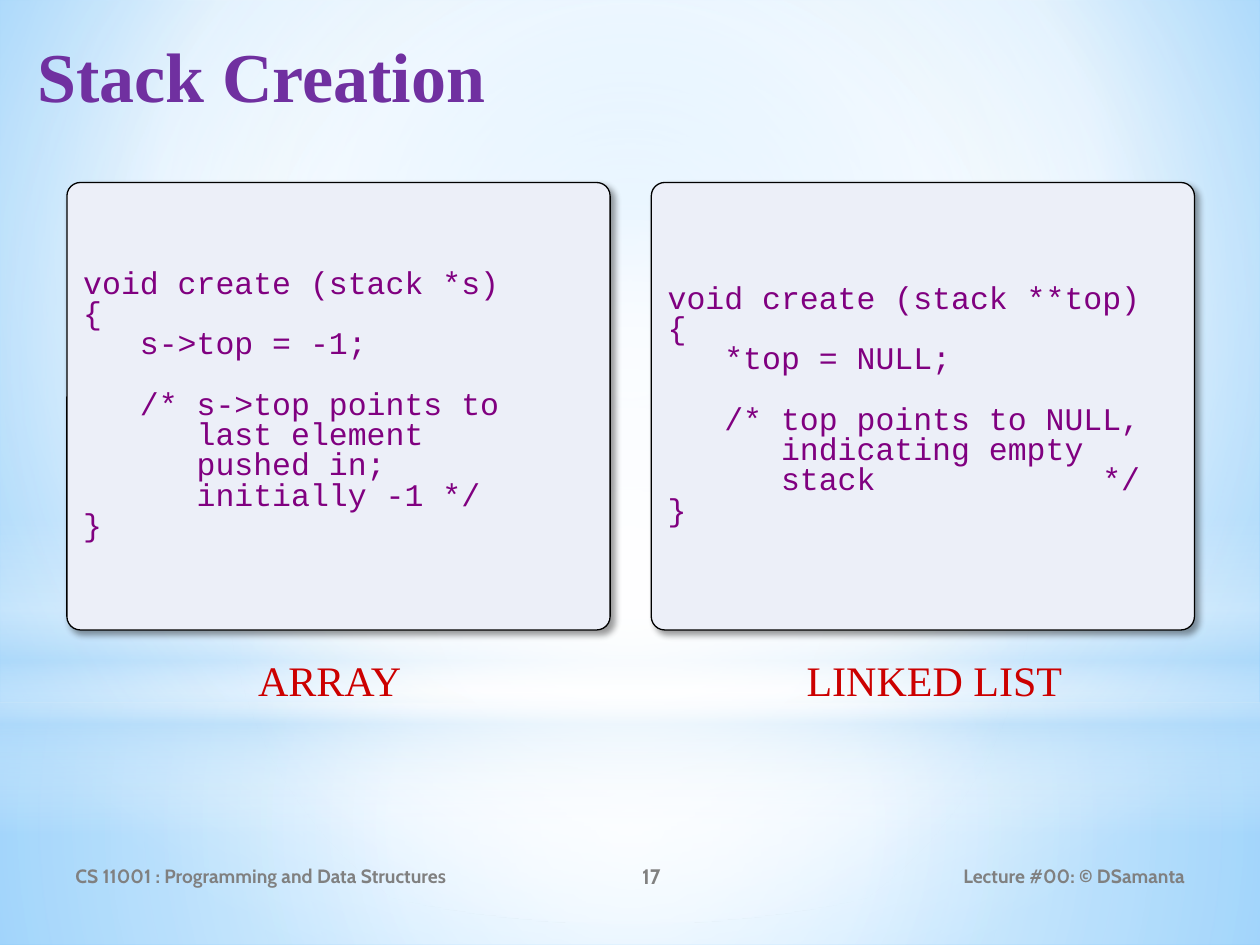
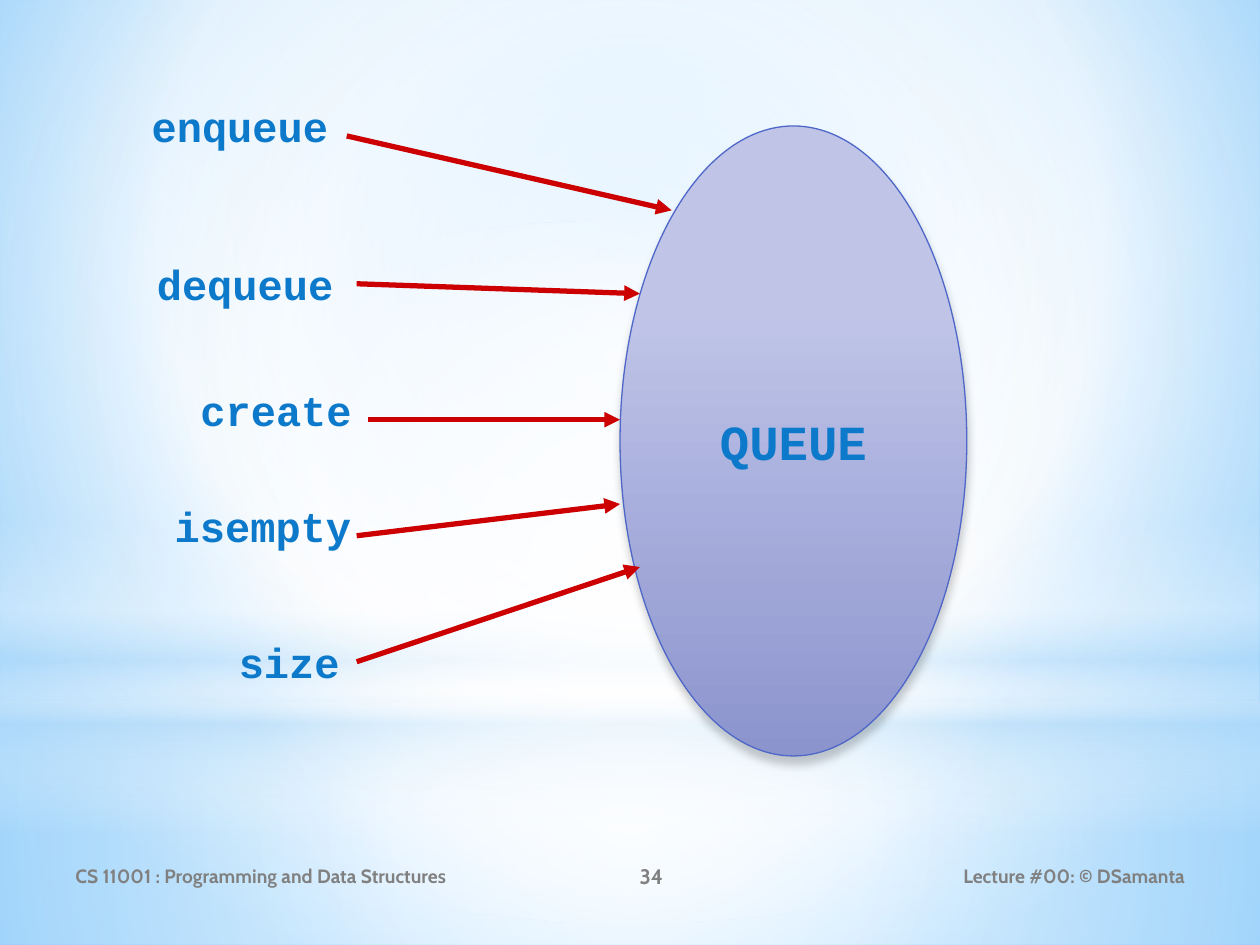
"""Builds two lecture slides on stack creation and queue operations."""
from dataclasses import dataclass
from typing import NamedTuple

from lxml.etree import SubElement
from pptx import Presentation
from pptx.dml.color import RGBColor
from pptx.enum.shapes import MSO_CONNECTOR as Link, MSO_SHAPE as Preset
from pptx.enum.text import MSO_ANCHOR as Anchor, PP_ALIGN as Align
from pptx.oxml.ns import qn
from pptx.util import Cm, Pt


class Style(NamedTuple):
    font: str
    size: float
    color: str
    bold: bool = False


class Area(NamedTuple):
    left: float
    top: float
    width: float
    height: float

    def lengths(self) -> list:
        return [Cm(side) for side in self]


class Stop(NamedTuple):
    position: int
    color: str
    opacity: int = 100


class Gradient(NamedTuple):
    stops: tuple
    focus: tuple = ()


class Shadow(NamedTuple):
    opacity: int
    blur: int
    distance: int
    angle: int


@dataclass(frozen=True)
class Theme:
    title: Style = Style("Times New Roman", 40, "7030A0", True)
    code: Style = Style("Courier New", 18, "800080")
    caption: Style = Style("Times New Roman", 24, "CC0000")
    label: Style = Style("Courier New", 24, "0D79CA", True)
    queue: Style = Style("Courier New", 28, "0D79CA", True)
    footer: Style = Style("Cabin", 11, "808080", True)
    number: Style = Style("Cabin", 12, "808080", True)
    panel: str = "ECEFF8"
    panel_line: str = "000000"
    queue_line: str = "4E67C8"
    arrow: str = "CC0000"
    white: str = "FFFFFF"
    sky: str = "B4DCFA"
    code_gap: float = 17.3


THEME = Theme()
WIDTH, HEIGHT, HORIZON = 25.4, 19.05, 14.17
CENTRE = (50, 50, 50, 50)
BACKDROP = Gradient((Stop(0, "9ED5FF"), Stop(60, THEME.white), Stop(100, "5BB9FF")),
                    (20, 10, 20, 60))
QUEUE_FILL = Gradient((Stop(28, "C0C5E8"), Stop(100, "8C94CE")))


class Band(NamedTuple):
    preset: Preset
    area: Area
    gradient: Gradient


BANDS = (
    Band(Preset.RECTANGLE, Area(0, HORIZON, WIDTH, HEIGHT - HORIZON), Gradient(
        (Stop(0, THEME.white, 91), Stop(37, THEME.white, 76), Stop(100, THEME.sky, 79)), CENTRE)),
    Band(Preset.RECTANGLE, Area(0, 0, WIDTH, HORIZON), Gradient(
        (Stop(0, THEME.white, 89), Stop(48, THEME.white, 62), Stop(100, THEME.sky, 79)), CENTRE)),
    Band(Preset.RECTANGLE, Area(0, 10.46, WIDTH, 6.35), Gradient(
        (Stop(0, THEME.white, 0), Stop(29, THEME.white, 30), Stop(45, THEME.sky, 40),
         Stop(55, THEME.white, 26), Stop(65, THEME.sky, 60), Stop(100, THEME.white, 0)))),
    Band(Preset.OVAL, Area(0, 4.45, WIDTH, HORIZON), Gradient(
        (Stop(0, THEME.white), Stop(56, THEME.white, 0)), CENTRE)),
)


class CodePanel(NamedTuple):
    code: str
    caption: str
    caption_left: float
    caption_width: float


PANELS = (
    CodePanel("""void create (stack *s)
{
   s->top = -1;

   /* s->top points to
      last element
      pushed in;
      initially -1 */
}""", "ARRAY", 4.32, 4.65),
    CodePanel("""void create (stack **top)
{
   *top = NULL;

   /* top points to NULL,
      indicating empty
      stack            */
}""", "LINKED LIST", 14.81, 8.05),
)


class Operation(NamedTuple):
    name: str
    left: float
    top: float
    width: float
    start: tuple
    end: tuple


OPERATIONS = (
    Operation("enqueue", 2.69, 1.91, 4.29, (6.99, 2.74), (13.54, 4.24)),
    Operation("dequeue", 2.69, 5.08, 4.5, (7.19, 5.72), (12.9, 5.92)),
    Operation("create", 3.71, 7.62, 3.71, (7.42, 8.46), (12.5, 8.46)),
    Operation("isempty", 3.18, 9.96, 4.24, (7.19, 10.8), (12.5, 10.16)),
    Operation("size", 4.24, 12.7, 3.18, (7.19, 13.34), (12.9, 11.43)),
)


def add_color(parent, color: str, opacity: int) -> None:
    """Add an RGB colour with its opacity in percent."""
    node = SubElement(parent, qn("a:srgbClr"), val=color)
    if opacity < 100:
        SubElement(node, qn("a:alpha"), val=str(opacity * 1000))


def paint(fill, holder, gradient: Gradient) -> None:
    """Fill the holder with a circular gradient, or a downward one without focus."""
    fill.solid()
    solid = holder.find(qn("a:solidFill"))
    node = holder.makeelement(qn("a:gradFill"), {"rotWithShape": "1"})
    holder.replace(solid, node)
    stops = SubElement(node, qn("a:gsLst"))
    for stop in gradient.stops:
        mark = SubElement(stops, qn("a:gs"), pos=str(stop.position * 1000))
        add_color(mark, stop.color, stop.opacity)
    if gradient.focus:
        route = SubElement(node, qn("a:path"), attrib={"path": "circle"})
        sides = {side: str(share * 1000) for side, share in zip("ltrb", gradient.focus)}
        SubElement(route, qn("a:fillToRect"), attrib=sides)
    else:
        SubElement(node, qn("a:lin"), ang="5400000", scaled="0")


def cast_shadow(shape, shadow: Shadow) -> None:
    """Give the shape a soft black shadow."""
    effects = shape.element.spPr.find(qn("a:effectLst"))
    node = SubElement(effects, qn("a:outerShdw"), blurRad=str(Pt(shadow.blur)),
                      dist=str(Pt(shadow.distance)), dir=str(shadow.angle * 60000),
                      algn="ctr", rotWithShape="0")
    add_color(node, "000000", shadow.opacity)


def add_shape(page, preset: Preset, area: Area, line: str = ""):
    """Add a preset shape with a thin line or none."""
    shape = page.shapes.add_shape(preset, *area.lengths())
    shape.shadow.inherit = False
    if line:
        shape.line.color.rgb = RGBColor.from_string(line)
        shape.line.width = Pt(0.75)
    else:
        shape.line.fill.background()
    return shape


def write(para, text: str, style: Style, align: Align = Align.LEFT) -> None:
    """Write one styled run in the paragraph."""
    para.alignment = align
    span = para.add_run()
    span.text = text
    span.font.name, span.font.size, span.font.bold = style.font, Pt(style.size), style.bold
    span.font.color.rgb = RGBColor.from_string(style.color)


def add_text(page, area: Area, text: str, style: Style, align: Align = Align.CENTER,
             anchor: Anchor = Anchor.TOP) -> None:
    """Add a wrapping text box with one paragraph."""
    frame = page.shapes.add_textbox(*area.lengths()).text_frame
    frame.word_wrap = True
    frame.vertical_anchor = anchor
    write(frame.paragraphs[0], text, style, align)


def add_arrow(page, start: tuple, end: tuple) -> None:
    """Draw a thick arrow between two points."""
    arrow = page.shapes.add_connector(Link.STRAIGHT, *Area(*start, *end).lengths())
    arrow.line.color.rgb = RGBColor.from_string(THEME.arrow)
    arrow.line.width = Pt(3)
    outline = arrow.element.spPr
    SubElement(outline.find(qn("a:ln")), qn("a:tailEnd"), type="triangle")
    SubElement(outline, qn("a:effectLst"))


def add_page(deck, number: int):
    """Add a page with the sky background and the footer."""
    page = deck.slides.add_slide(deck.slide_layouts[6])
    fill = page.background.fill
    fill.solid()
    paint(fill, page.element.find(".//" + qn("p:bgPr")), BACKDROP)
    for band in BANDS:
        shape = add_shape(page, band.preset, band.area)
        paint(shape.fill, shape.element.spPr, band.gradient)
    footers = (
        (1.27, 9.32, "CS 11001 : Programming and Data Structures", THEME.footer, Align.LEFT),
        (10.59, 5.08, str(number), THEME.number, Align.CENTER),
        (17.15, 6.99, "Lecture #00: © DSamanta", THEME.footer, Align.RIGHT),
    )
    for left, width, text, style, align in footers:
        add_text(page, Area(left, 17.15, width, 1.02), text, style, align, Anchor.MIDDLE)
    return page


def add_code(page, area: Area, code: str) -> None:
    """Add a rounded panel of code, with space where a line is empty."""
    panel = add_shape(page, Preset.ROUNDED_RECTANGLE, area, THEME.panel_line)
    panel.adjustments[0] = 0.03
    panel.fill.solid()
    panel.fill.fore_color.rgb = RGBColor.from_string(THEME.panel)
    cast_shadow(panel, Shadow(40, 4, 3, 45))
    frame = panel.text_frame
    frame.vertical_anchor = Anchor.MIDDLE
    para, gap = frame.paragraphs[0], False
    for line in code.splitlines():
        if not line:
            gap = True
            continue
        if para.runs:
            para = frame.add_paragraph()
        para.line_spacing = 0.8
        if gap:
            para.space_before = Pt(THEME.code_gap)
        write(para, line, THEME.code)
        gap = False


def build_stack_page(deck) -> None:
    """Compare stack creation with an array and a linked list."""
    page = add_page(deck, 17)
    add_text(page, Area(0.51, 0.53, 24.21, 3.18), "Stack Creation", THEME.title, Align.LEFT)
    for column, panel in enumerate(PANELS):
        add_code(page, Area(1.35 + 11.78 * column, 3.68, 10.95, 9.02), panel.code)
        add_text(page, Area(panel.caption_left, 13.06, panel.caption_width, 1.27),
                 panel.caption, THEME.caption)


def build_queue_page(deck) -> None:
    """Show the operations that act on a queue."""
    page = add_page(deck, 34)
    queue = add_shape(page, Preset.OVAL, Area(12.5, 2.54, 6.99, 12.7), THEME.queue_line)
    paint(queue.fill, queue.element.spPr, QUEUE_FILL)
    cast_shadow(queue, Shadow(20, 5, 4, 90))
    queue.text_frame.word_wrap = False
    queue.text_frame.vertical_anchor = Anchor.MIDDLE
    write(queue.text_frame.paragraphs[0], "QUEUE", THEME.queue, Align.CENTER)
    for operation in OPERATIONS:
        add_arrow(page, operation.start, operation.end)
        add_text(page, Area(operation.left, operation.top, operation.width, 1.27),
                 operation.name, THEME.label)


def main() -> None:
    """Build and save the deck."""
    deck = Presentation()
    deck.slide_width, deck.slide_height = Cm(WIDTH), Cm(HEIGHT)
    build_stack_page(deck)
    build_queue_page(deck)
    deck.save("out.pptx")


if __name__ == "__main__":
    main()
